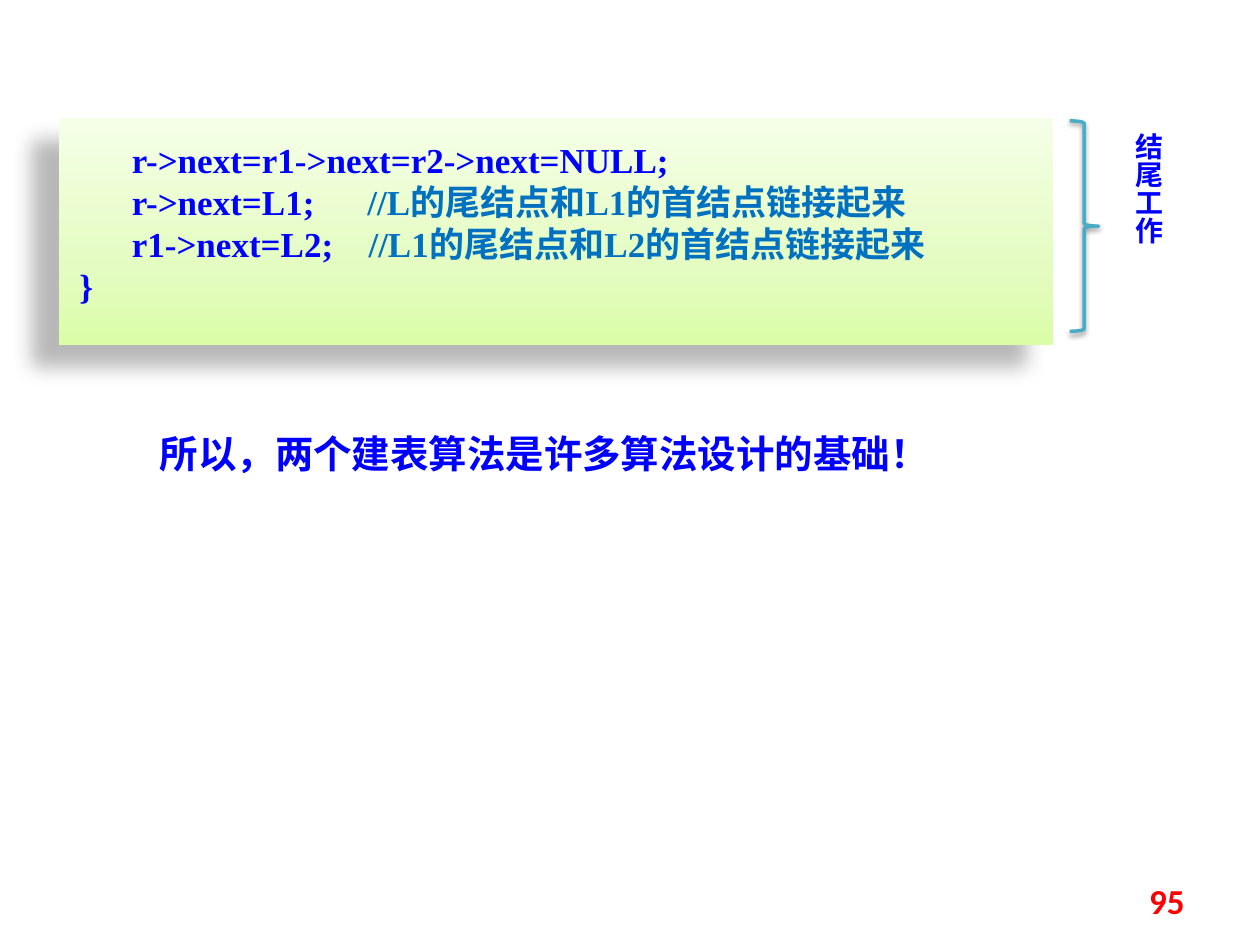
"""Build the slide on the closing steps of a linked-list algorithm."""
from lxml import etree
from pptx import Presentation
from pptx.dml.color import RGBColor
from pptx.enum.shapes import MSO_SHAPE
from pptx.enum.text import MSO_ANCHOR, MSO_AUTO_SIZE, PP_ALIGN
from pptx.oxml import parse_xml
from pptx.oxml.ns import nsdecls, qn
from pptx.util import Inches, Pt

RECTANGLE, RIGHT_BRACE = MSO_SHAPE.RECTANGLE, MSO_SHAPE.RIGHT_BRACE
TOP, MIDDLE = MSO_ANCHOR.TOP, MSO_ANCHOR.MIDDLE
LEFT, CENTER, RIGHT = PP_ALIGN.LEFT, PP_ALIGN.CENTER, PP_ALIGN.RIGHT
FIT_SHAPE = MSO_AUTO_SIZE.SHAPE_TO_FIT_TEXT
BLUE, COMMENT_BLUE = "0000FF", "0070C0"
CJK = "Noto Sans CJK SC"

color = RGBColor.from_string


def style(paragraph, size, typeface, hue, align):
    paragraph.alignment = align
    font = paragraph.font
    font.size, font.bold, font.name = Pt(size), True, typeface
    font.color.rgb = color(hue)
    defaults = paragraph._p.pPr.find(qn("a:defRPr"))
    etree.SubElement(defaults, qn("a:ea")).set("typeface", CJK)


def add_shadow(shape, alpha, blur, distance, angle):
    shape._element.spPr.append(parse_xml(
        f'<a:effectLst {nsdecls("a")}><a:outerShdw blurRad="{Pt(blur)}" '
        f'dist="{Pt(distance)}" dir="{angle * 60000}" algn="ctr" rotWithShape="0">'
        f'<a:srgbClr val="000000"><a:alpha val="{alpha * 1000}"/></a:srgbClr>'
        '</a:outerShdw></a:effectLst>'))


prs = Presentation()
prs.slide_width, prs.slide_height = Inches(10), Inches(7.5)
shapes = prs.slides.add_slide(prs.slide_layouts[6]).shapes

code = shapes.add_shape(RECTANGLE, Inches(0.47), Inches(0.94), Inches(7.89), Inches(1.8))
stops = "".join(
    f'<a:gs pos="{position * 1000}"><a:srgbClr val="{hue}"/></a:gs>'
    for position, hue in ((0, "DAFDA7"), (35, "E4FCC2"), (100, "F5FFE7")))
code._element.spPr.append(parse_xml(
    f'<a:gradFill {nsdecls("a")} rotWithShape="1"><a:gsLst>{stops}</a:gsLst>'
    '<a:lin ang="16200000" scaled="0"/></a:gradFill>'))
code.line.fill.background()
add_shadow(code, 28, 11.8, 19.7, 141)

code_frame = code.text_frame
code_frame.word_wrap = True
code_frame.auto_size = FIT_SHAPE
code_frame.vertical_anchor = TOP
code_frame.margin_left = code_frame.margin_top = code_frame.margin_bottom = Inches(0.16)
code_lines = [
    ("      r->next=r1->next=r2->next=NULL;", ""),
    ("      r->next=L1;      ", "//L的尾结点和L1的首结点链接起来"),
    ("      r1->next=L2;", "    //L1的尾结点和L2的首结点链接起来"),
    ("}", ""),
]
for index, (statement, comment) in enumerate(code_lines):
    line = code_frame.add_paragraph() if index else code_frame.paragraphs[0]
    style(line, 20, "Times New Roman", BLUE, LEFT)
    line.add_run().text = statement
    if comment:
        remark = line.add_run()
        remark.text = comment
        remark.font.color.rgb = color(COMMENT_BLUE)

brace = shapes.add_shape(RIGHT_BRACE, Inches(8.49), Inches(0.96), Inches(0.23), Inches(1.67))
brace.fill.background()
brace.line.color.rgb = color("4BACC6")
brace.line.width = Pt(2)
add_shadow(brace, 38, 3.1, 1.6, 90)

labels = [
    ("结尾工作", (8.8, 0.96, 0.5, 1.67), 16, CJK, BLUE, CENTER, TOP, "eaVert"),
    ("所以，两个建表算法是许多算法设计的基础！", (1.17, 3.36, 6.02, 0.48), 22, CJK, BLUE,
     LEFT, TOP, "horz"),
    ("95", (7.17, 6.95, 2.33, 0.4), 20, "Calibri", "FF0000", RIGHT, MIDDLE, "horz"),
]
for text, box, size, typeface, hue, align, anchor, direction in labels:
    frame = shapes.add_textbox(*map(Inches, box)).text_frame
    frame.word_wrap = True
    frame.vertical_anchor = anchor
    if anchor == TOP:
        frame.auto_size = FIT_SHAPE
    frame._txBody.bodyPr.set("vert", direction)
    paragraph = frame.paragraphs[0]
    paragraph.text = text
    style(paragraph, size, typeface, hue, align)

prs.save("out.pptx")
